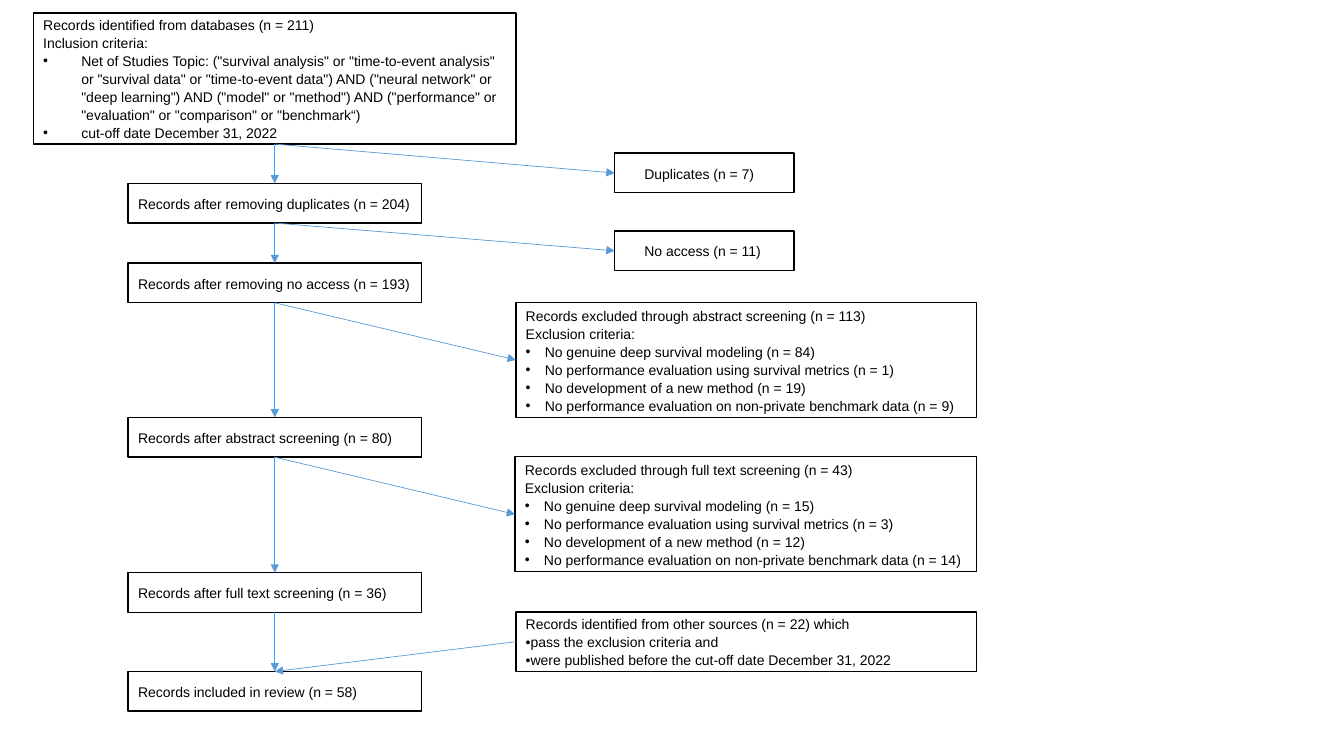
from lxml.etree import SubElement as Sub
from pptx import Presentation
from pptx.dml.color import RGBColor
from pptx.enum.shapes import MSO_CONNECTOR as Conn, MSO_SHAPE as Form
from pptx.enum.text import MSO_ANCHOR as Anchor, PP_ALIGN as Align
from pptx.oxml.ns import qn
from pptx.util import Cm, Pt

BOTTOM, LEFT, TOP = 2, 1, 0


def color(code):
    return RGBColor.from_string(code)


class Chart:
    font, size, spacing = "Arial", 10, 1.07
    ink, blue = "000000", "5B9BD5"

    def __init__(self, slide):
        self.slide = slide

    def box(self, x, y, w, h, heads, items=(), left=0, hang=0):
        """Framed box: plain lines, then bulleted items; left and hang in cm."""
        shape = self.slide.shapes.add_shape(
            Form.RECTANGLE, Cm(x), Cm(y), Cm(w), Cm(h))
        shape.shadow.inherit = False
        shape.fill.background()
        shape.line.color.rgb = color(self.ink)
        shape.line.width = Pt(1)
        frame = shape.text_frame
        frame.word_wrap = True
        frame.vertical_anchor = Anchor.MIDDLE
        for i, text in enumerate([*heads, *items]):
            par = frame.add_paragraph() if i else frame.paragraphs[0]
            self.label(par, text)
            if i >= len(heads):
                self.bullet(par, left, hang)
            elif not items:
                self.indent(par, left, 0)
        return shape

    def label(self, par, text):
        par.alignment = Align.LEFT
        par.line_spacing = self.spacing
        par.space_before = par.space_after = Pt(0)
        run = par.add_run()
        run.text = text
        run.font.name = self.font
        run.font.size = Pt(self.size)
        run.font.color.rgb = color(self.ink)

    def indent(self, par, left, hang):
        props = par._p.get_or_add_pPr()
        props.set("marL", str(Cm(left)))
        props.set("indent", str(-Cm(hang)))
        return props

    def bullet(self, par, left, hang):
        props = self.indent(par, left, hang)
        Sub(props, qn("a:buFont")).set("typeface", self.font)
        Sub(props, qn("a:buChar")).set("char", "•")

    def arrow(self, start, side, end, goal):
        line = self.slide.shapes.add_connector(Conn.STRAIGHT, 0, 0, 0, 0)
        line.begin_connect(start, side)
        line.end_connect(end, goal)
        line.line.color.rgb = color(self.blue)
        line.line.width = Pt(0.5)
        props = line._element.spPr
        Sub(props.find(qn("a:ln")), qn("a:tailEnd")).set("type", "triangle")
        Sub(props, qn("a:effectLst"))


def screen(stage, total, counts):
    """Wording of an exclusion box: its heading lines and its criteria."""
    reasons = ["No genuine deep survival modeling",
               "No performance evaluation using survival metrics",
               "No development of a new method",
               "No performance evaluation on non-private benchmark data"]
    heads = [f"Records excluded through {stage} screening (n = {total})",
             "Exclusion criteria:"]
    return heads, [f"{why} (n = {n})" for why, n in zip(reasons, counts)]


def main():
    deck = Presentation()
    deck.slide_width, deck.slide_height = Cm(33.87), Cm(19.05)
    chart = Chart(deck.slides.add_slide(deck.slide_layouts[6]))

    query = ('Web of Science Topic: ("survival analysis" or "time-to-event analysis" '
             'or "survival data" or "time-to-event data") AND ("neural network" or '
             '"deep learning") AND ("model" or "method") AND ("performance" or '
             '"evaluation" or "comparison" or "benchmark“)')
    # The database is a product, so it goes under an invented name.
    query = query.replace("Web of Science", "Net of Studies")
    found = chart.box(0.84, 0.33, 12.17, 3.3,
                      ["Records identified from databases (n = 211)",
                       "Inclusion criteria:"],
                      [query, "cut-off date December 31, 2022"], 0.96, 0.96)

    steps = [(4.62, "after removing duplicates (n = 204)"),
             (6.63, "after removing no access (n = 193)"),
             (10.52, "after abstract screening (n = 80)"),
             (14.43, "after full text screening (n = 36)"),
             (16.92, "included in review (n = 58)")]
    flow = [found] + [chart.box(3.23, y, 7.39, 1, [f"Records {text}"])
                      for y, text in steps]

    drops = [chart.box(15.49, y, 4.52, 1, [text], left=0.5)
             for y, text in [(3.86, "Duplicates (n = 7)"),
                             (5.82, "No access (n = 11)")]]
    drops += [chart.box(x, y, 24.61 - x, 2.9, *screen(*words), 0.48, 0.48)
              for x, y, words in [(13, 7.62, ("abstract", 113, (84, 1, 19, 9))),
                                  (12.98, 11.51, ("full text", 43, (15, 3, 12, 14)))]]
    other = chart.box(13, 15.42, 11.61, 1.5,
                      ["Records identified from other sources (n = 22) which"],
                      ["pass the exclusion criteria and",
                       "were published before the cut-off date December 31, 2022"],
                      0, 0.48)

    for start, end in zip(flow, flow[1:]):
        chart.arrow(start, BOTTOM, end, TOP)
    for start, drop in zip(flow, drops):
        chart.arrow(start, BOTTOM, drop, LEFT)
    chart.arrow(other, LEFT, flow[-1], TOP)

    deck.save("out.pptx")


if __name__ == "__main__":
    main()
